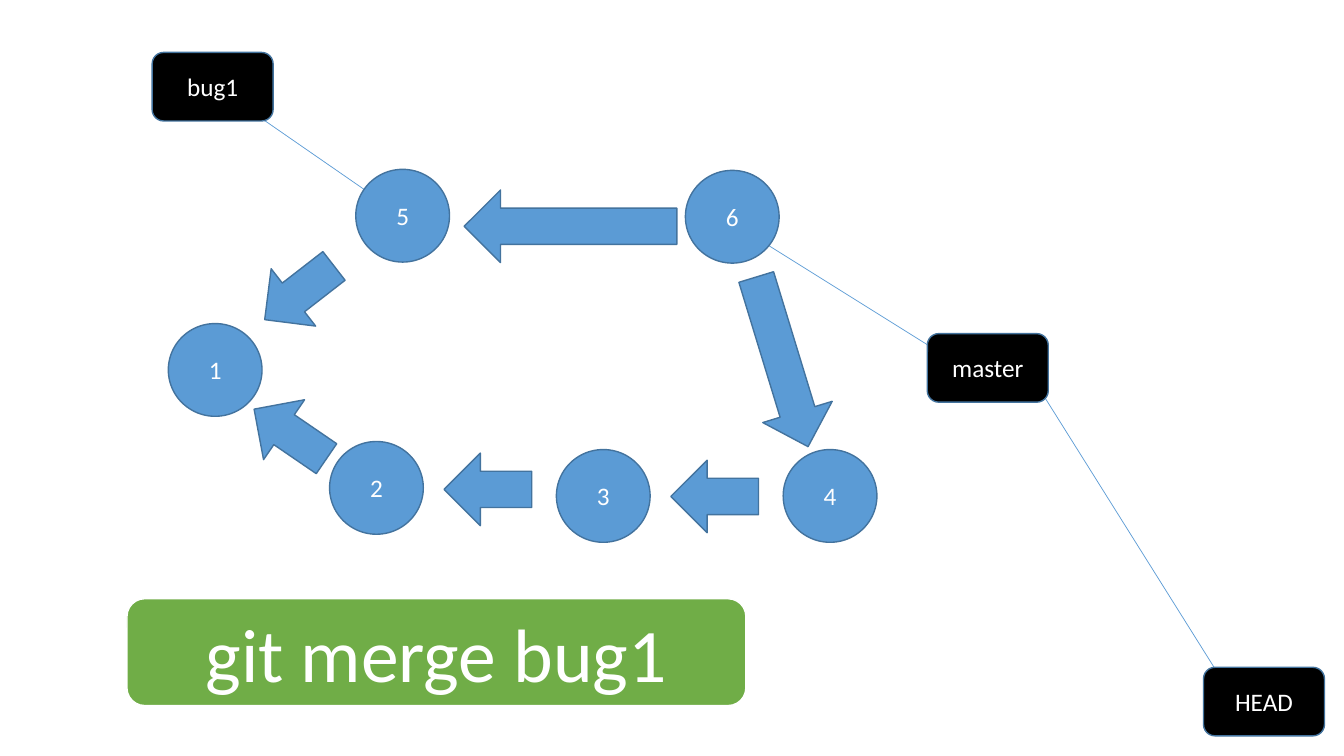
from collections import namedtuple

from lxml import etree
from pptx import Presentation
from pptx.dml.color import RGBColor
from pptx.enum.shapes import MSO_CONNECTOR, MSO_SHAPE
from pptx.enum.text import MSO_ANCHOR, PP_ALIGN
from pptx.oxml.ns import qn
from pptx.util import Inches, Pt

STRAIGHT = MSO_CONNECTOR.STRAIGHT
CIRCLE = MSO_SHAPE.OVAL
ARROW = MSO_SHAPE.DOWN_ARROW
ROUNDED = MSO_SHAPE.ROUNDED_RECTANGLE
MIDDLE = MSO_ANCHOR.MIDDLE
CENTER = PP_ALIGN.CENTER

COLUMNS, ROWS = 160, 90
CELL = Inches(7.5) // ROWS
BLUE, EDGE, GREEN, BLACK, WHITE = "5B9BD5", "43739E", "70AD47", "000000", "FFFFFF"

Box = namedtuple("Box", "left top width height")

NODE_SIZE = (11.16, 11.04)
LABEL_SIZE = (14.4, 8.16)
ARROW_WIDTH = 8.64
SHORT = 10.44

COMMITS = {
    "1": (5.62, 24.04),
    "2": (24.82, 38.08),
    "3": (51.82, 39.04),
    "4": (78.82, 39.04),
    "5": (27.94, 5.68),
    "6": (67.18, 5.8),
}
PARENT_ARROWS = [
    (15.64, 14.86, SHORT, 52.2),
    (14.56, 31.66, SHORT, 124.4),
    (38.08, 38.26, SHORT, 90),
    (65.08, 39.1, SHORT, 90),
    (47.92, 6.94, 25.32, 90),
    (73.12, 23.08, 21.12, 343),
]
REFERENCES = {
    "bug1": (18.12, 6.24),
    "master": (110.4, 39.72),
    "HEAD": (143.28, 79.44),
}
REFERENCE_LINES = [
    ((110.4, 41.04), (90.24, 28.44)),
    ((145.44, 80.88), (123, 45.12)),
    ((25.68, 10.32), (45.96, 24.36)),
]


def color(value):
    return RGBColor.from_string(value)


def cells(*counts):
    return [round(count * CELL) for count in counts]


def centered(box, x, y, width, height):
    return Box(box.left + x - width / 2, box.top + y - height / 2, width, height)


def write(shape, text, size=18, ink=WHITE, font="Calibri"):
    frame = shape.text_frame
    frame.word_wrap = True
    frame.vertical_anchor = MIDDLE
    para = frame.paragraphs[0]
    para.alignment = CENTER
    span = para.add_run()
    span.text = text
    span.font.name = font
    span.font.size = Pt(size)
    span.font.color.rgb = color(ink)


def add_block(page, kind, box, fill=BLUE, edge=EDGE, rotation=0):
    shape = page.shapes.add_shape(kind, *cells(*box))
    shape.shadow.inherit = False
    shape.fill.solid()
    shape.fill.fore_color.rgb = color(fill)
    shape.line.color.rgb = color(edge)
    shape.line.width = Pt(1)
    shape.rotation = rotation
    return shape


def add_pointer(page, start, end):
    pointer = page.shapes.add_connector(STRAIGHT, *cells(*start, *end))
    pointer.line.color.rgb = color(BLUE)
    pointer.line.width = Pt(0.5)
    outline = pointer.line._get_or_add_ln()
    etree.SubElement(outline, qn("a:tailEnd"), type="triangle")
    etree.SubElement(pointer._element.spPr, qn("a:effectLst"))


def draw_pointers(page, box):
    for ends in REFERENCE_LINES:
        add_pointer(page, *[(box.left + x, box.top + y) for x, y in ends])


def draw_commits(page, box):
    for name, (x, y) in COMMITS.items():
        write(add_block(page, CIRCLE, centered(box, x, y, *NODE_SIZE)), name)
    for x, y, length, rotation in PARENT_ARROWS:
        place = centered(box, x, y, ARROW_WIDTH, length)
        add_block(page, ARROW, place, rotation=rotation)


def draw_references(page, box):
    for name, (x, y) in REFERENCES.items():
        place = Box(box.left + x, box.top + y, *LABEL_SIZE)
        write(add_block(page, ROUNDED, place, fill=BLACK), name)


def draw_command(page, box):
    banner = add_block(page, ROUNDED, box, fill=GREEN, edge=WHITE)
    write(banner, "git merge bug1", size=54)


deck = Presentation()
deck.slide_width, deck.slide_height = cells(COLUMNS, ROWS)
page = deck.slides.add_slide(deck.slide_layouts[6])
whole = Box(0, 0, COLUMNS, ROWS)
draw_pointers(page, whole)
draw_commits(page, Box(20, 20, 85, 45))
draw_references(page, whole)
draw_command(page, Box(15.12, 71.28, 73.68, 12.72))
deck.save("out.pptx")
